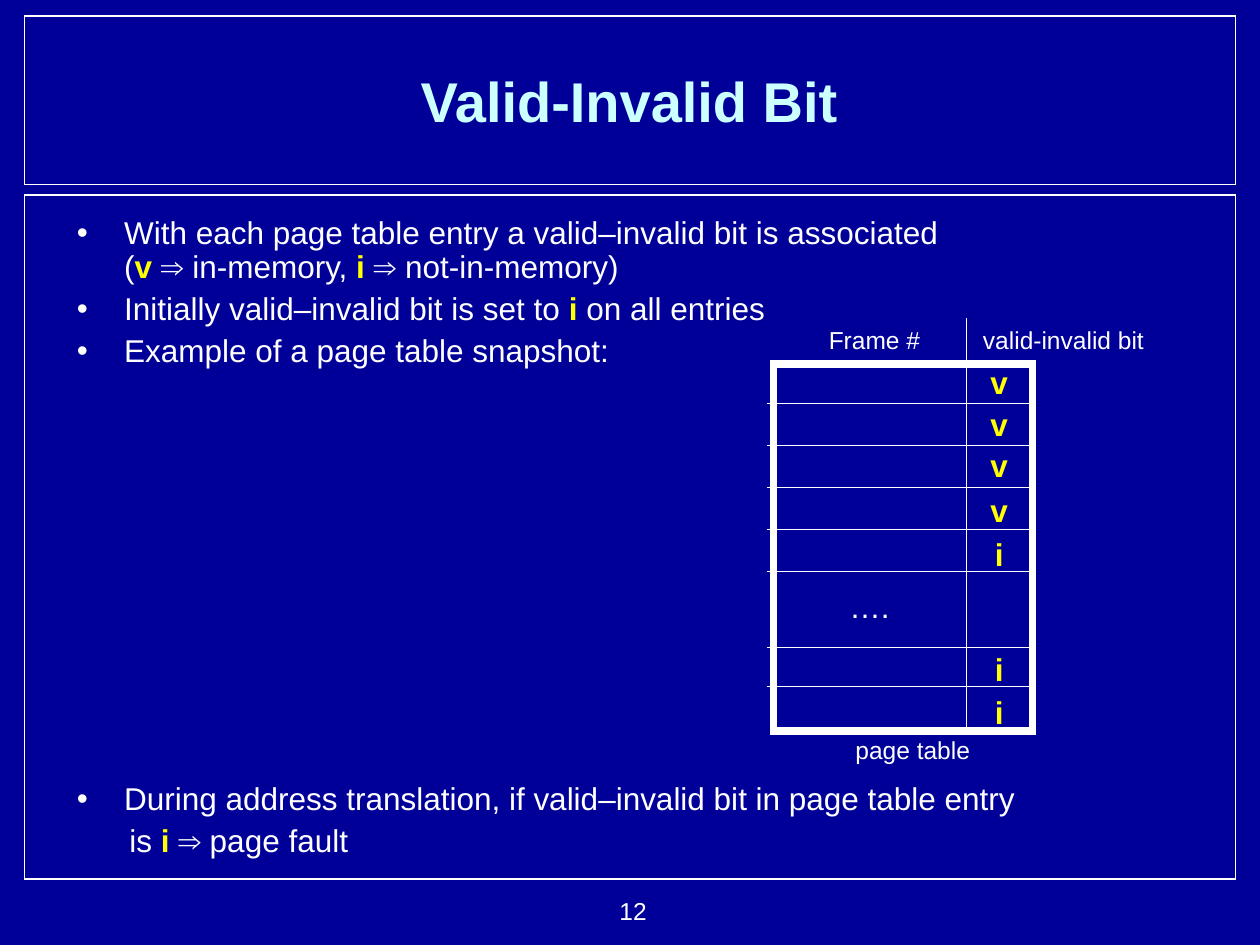
from dataclasses import dataclass

from lxml.etree import SubElement
from pptx import Presentation
from pptx.dml.color import RGBColor as RGB
from pptx.enum.shapes import MSO_CONNECTOR as CONN, MSO_SHAPE as SHAPE
from pptx.enum.text import MSO_ANCHOR as ANCHOR, MSO_AUTO_SIZE as AUTO, PP_ALIGN as ALIGN
from pptx.oxml.ns import qn
from pptx.util import Pt


@dataclass(frozen=True)
class Theme:
    """Colours, font and type sizes of the slide."""
    back: RGB = RGB(0x00, 0x00, 0x99)
    text: RGB = RGB(0xFF, 0xFF, 0xFF)
    title: RGB = RGB(0xCC, 0xFF, 0xFF)
    accent: RGB = RGB(0xFF, 0xFF, 0x00)
    font: str = "Arial"
    title_size: int = 32
    body_size: int = 18
    label_size: int = 14
    thin: float = 0.75
    thick: float = 4.5


T = Theme()

BULLETS = [
    (["With each page table entry a valid–invalid bit is associated", "\n", "(",
      "*v ", "⇒ in-memory, ", "*i ", "⇒ not-in-memory)"], 0, True),
    (["Initially valid–invalid bit is set to ", "*i ", "on all entries"], 4.5, True),
    (["Example of a page table snapshot:"], 4.5, True),
    (["During address translation, if valid–invalid bit in page table entry"], 236.7, True),
    (["is ", "*i ", "⇒ page fault"], 4.5, False),
]
BITS = [("v", 10.2), ("v", 34), ("v", 57.6), ("v", 83.6),
        ("i", 108.8), ("i", 174.3), ("i", 198.8)]
ROW_LINES = [22.4 + 24 * k for k in range(5)] + [162, 184.4]


def add_run(p, text, size, color=T.text, bold=False):
    """Append one formatted run to a paragraph."""
    r = p.add_run()
    r.text = text
    f = r.font
    f.name, f.size, f.bold = T.font, Pt(size), bold
    f.color.rgb = color


def place(sp, x, y, w, h):
    """Move and size a shape, in points."""
    sp.left, sp.top, sp.width, sp.height = Pt(x), Pt(y), Pt(w), Pt(h)


def add_rect(s, x, y, w, h, weight, fill=None):
    """Draw an outlined rectangle with square corners."""
    sp = s.shapes.add_shape(SHAPE.RECTANGLE, Pt(x), Pt(y), Pt(w), Pt(h))
    sp.shadow.inherit = False
    if fill is None:
        sp.fill.background()
    else:
        sp.fill.solid()
        sp.fill.fore_color.rgb = fill
    sp.line.color.rgb = T.text
    sp.line.width = Pt(weight)
    SubElement(sp.element.spPr.find(qn("a:ln")), qn("a:miter"), lim="800000")


def add_line(s, x1, y1, x2, y2):
    """Draw a thin straight line."""
    c = s.shapes.add_connector(CONN.STRAIGHT, Pt(x1), Pt(y1), Pt(x2), Pt(y2))
    c.line.color.rgb = T.text
    c.line.width = Pt(T.thin)
    SubElement(c.element.spPr, qn("a:effectLst"))


def add_label(s, text, cx, cy, w, size, color=T.text, bold=False, align=ALIGN.CENTER):
    """Place a one-line label around a centre point."""
    h = size * 1.15 + 7.2
    sp = s.shapes.add_textbox(Pt(cx - w / 2), Pt(cy - h / 2), Pt(w), Pt(h))
    tf = sp.text_frame
    tf.word_wrap = align == ALIGN.RIGHT
    tf.auto_size = AUTO.SHAPE_TO_FIT_TEXT
    tf.vertical_anchor = ANCHOR.MIDDLE
    p = tf.paragraphs[0]
    p.alignment = align
    add_run(p, text, size, color, bold)


def set_bullet(p, shown):
    """Give a paragraph its indent and its bullet."""
    pPr = p._p.get_or_add_pPr()
    margin, indent = (27, -27) if shown else (30, 0)
    pPr.set("marL", str(Pt(margin)))
    pPr.set("indent", str(Pt(indent)))
    if shown:
        SubElement(SubElement(pPr, qn("a:buClr")), qn("a:srgbClr"), val=str(T.text))
        SubElement(pPr, qn("a:buFont"), typeface=T.font)
        SubElement(pPr, qn("a:buChar"), char="•")
    else:
        SubElement(pPr, qn("a:buNone"))


def fill_title(s, text, x, y, w, h):
    """Write the title in its placeholder."""
    sp = s.shapes.title
    place(sp, x, y, w, h)
    tf = sp.text_frame
    tf.auto_size = AUTO.NONE
    tf.vertical_anchor = ANCHOR.MIDDLE
    p = tf.paragraphs[0]
    p.alignment = ALIGN.CENTER
    add_run(p, text, T.title_size, T.title, True)


def fill_body(s, items, x, y, w, h):
    """Write the bulleted list in the body placeholder."""
    sp = s.placeholders[1]
    place(sp, x, y, w, h)
    tf = sp.text_frame
    tf.auto_size = AUTO.NONE
    tf.vertical_anchor = ANCHOR.TOP
    for k, (parts, before, bullet) in enumerate(items):
        p = tf.add_paragraph() if k else tf.paragraphs[0]
        set_bullet(p, bullet)
        p.alignment = ALIGN.LEFT
        p.line_spacing = 0.9
        p.space_before = Pt(before)
        for part in parts:
            if part == "\n":
                p.add_line_break()
            elif part.startswith("*"):
                add_run(p, part[1:], T.body_size, T.accent, True)
            else:
                add_run(p, part, T.body_size)


def draw_page_table(s, x, y, w, h):
    """Draw the page table with its bits and captions."""
    add_rect(s, x, y, w, h, T.thick, T.back)
    for dy in ROW_LINES:
        add_line(s, x - 3.5, y + dy, x + w - 2, y + dy)
    add_line(s, x + 110.2, y - 26, x + 110.2, y + h - 2)
    for bit, dy in BITS:
        add_label(s, bit, x + 129, y + dy, 26 if bit == "v" else 21,
                  T.body_size, T.accent, True)
    add_label(s, "….", x + 54.8, y + 138.3, 40, T.body_size)
    for text, dx, dy, width in [("Frame #", 57.7, -13.6, 76),
                                ("valid-invalid bit", 165.7, -13.6, 112),
                                ("page table", 79.6, h + 10.4, 86)]:
        add_label(s, text, x + dx, y + dy, width, T.label_size)


def main():
    """Build and save the slide."""
    prs = Presentation()
    prs.slide_width, prs.slide_height = Pt(720), Pt(540)
    s = prs.slides.add_slide(prs.slide_layouts[1])
    s.background.fill.solid()
    s.background.fill.fore_color.rgb = T.back
    for y, h in [(9.2, 96.4), (111.4, 391)]:
        add_rect(s, 14.2, y, 692, h, T.thin)
    fill_title(s, "Valid-Invalid Bit", 25.2, 12.2, 669, 90)
    fill_body(s, BULLETS, 36.7, 120.5, 683, 419)
    draw_page_table(s, 442, 208, 148, 210)
    add_label(s, "12", 339.2, 520.6, 75, T.label_size, align=ALIGN.RIGHT)
    prs.save("out.pptx")


if __name__ == "__main__":
    main()
